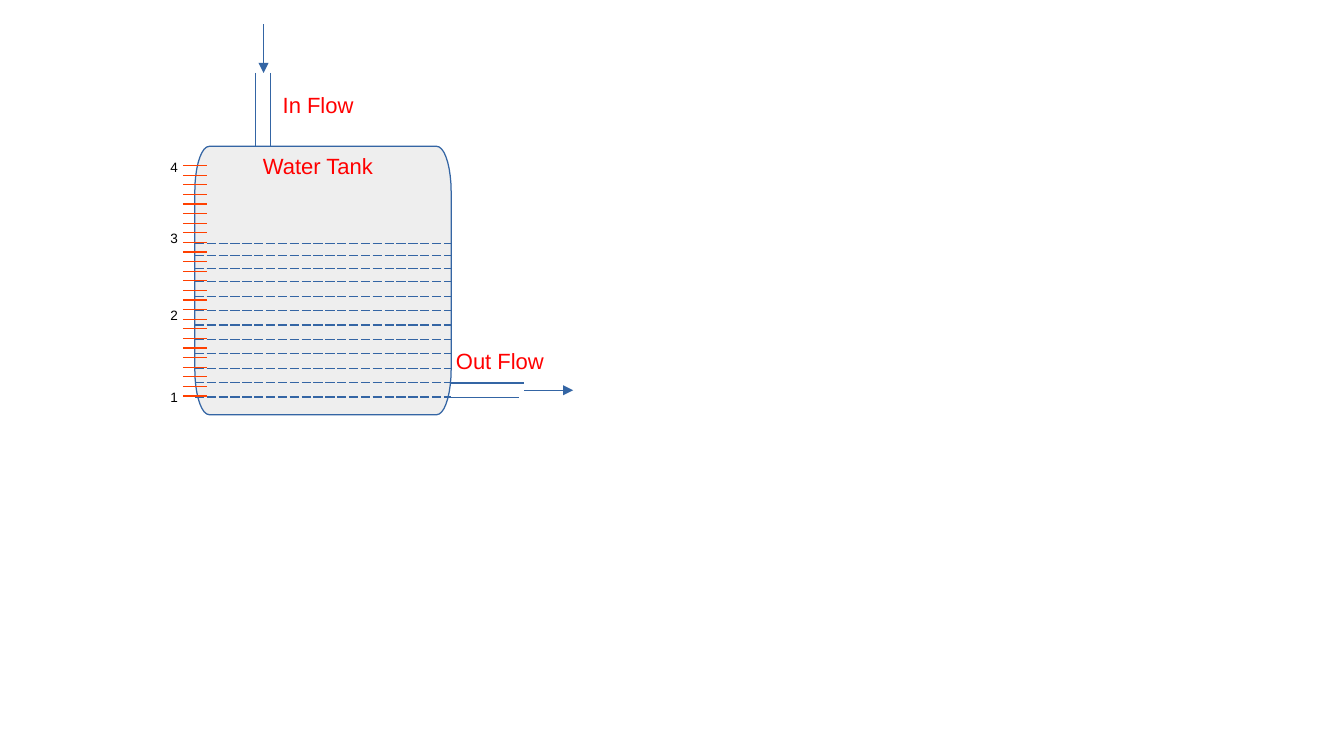
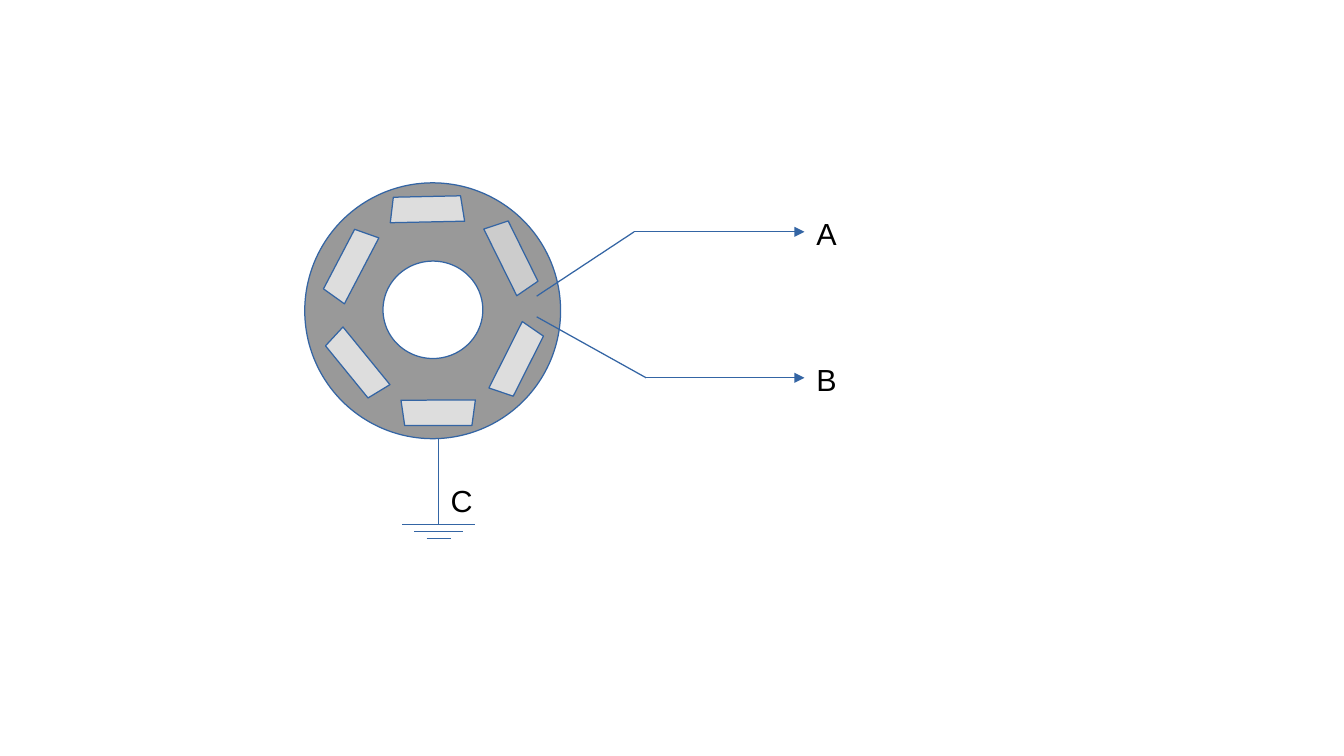
from math import cos, radians, sin

from lxml.etree import SubElement
from pptx import Presentation
from pptx.dml.color import RGBColor as Rgb
from pptx.enum.shapes import MSO_CONNECTOR as Link, MSO_SHAPE as Kind
from pptx.oxml.ns import qn
from pptx.util import Cm, Pt

BLUE = "3465A4"
ORANGE = "FF4000"
RED = "FF0000"
BLACK = "000000"
WHITE = "FFFFFF"
PALE = "EEEEEE"
GREY = "999999"
LIGHT = "DDDDDD"
MID = "CCCCCC"
FONT = "Arial"
WIDTH = 0.75


def tint(code):
    return Rgb.from_string(code)


def paint(shape, fill):
    shape.shadow.inherit = False
    shape.fill.solid()
    shape.fill.fore_color.rgb = tint(fill)
    shape.line.color.rgb = tint(BLUE)
    shape.line.width = Pt(WIDTH)


def draw(slide, kind, box, fill, turn=0):
    shape = slide.shapes.add_shape(kind, *map(Cm, box))
    paint(shape, fill)
    shape.rotation = turn
    return shape


def rule(slide, x1, y1, x2, y2, color=BLUE, dash=False, arrow=False):
    line = slide.shapes.add_connector(Link.STRAIGHT, *map(Cm, (x1, y1, x2, y2)))
    line.line.color.rgb = tint(color)
    line.line.width = Pt(WIDTH)
    props = line.line._get_or_add_ln()
    if dash:
        style = SubElement(props, qn("a:custDash"))
        SubElement(style, qn("a:ds"), d="750000", sp="200000")
    if arrow:
        SubElement(props, qn("a:tailEnd"), type="triangle")
    SubElement(line._element.spPr, qn("a:effectLst"))


def label(slide, text, box, size, color=BLACK):
    frame = slide.shapes.add_textbox(*map(Cm, box)).text_frame
    frame.word_wrap = False
    run = frame.paragraphs[0].add_run()
    run.text = text
    run.font.name = FONT
    run.font.size = Pt(size)
    run.font.color.rgb = tint(color)


def vessel(slide, left, top, wide, high, rx, ry):
    right, base = left + wide, top + high
    turns = [
        (right - rx, top + ry, 270),
        (right - rx, base - ry, 0),
        (left + rx, base - ry, 90),
        (left + rx, top + ry, 180),
    ]
    points = [
        (Cm(x + rx * cos(radians(start + step))), Cm(y + ry * sin(radians(start + step))))
        for x, y, start in turns
        for step in range(0, 91, 10)
    ]
    path = slide.shapes.build_freeform(*points[0])
    path.add_line_segments(points[1:], close=True)
    paint(path.convert_to_shape(), PALE)


def tank(slide):
    vessel(slide, 4.06, 3.05, 5.34, 5.59, 0.3, 0.94)
    for y in [5.08, 5.33, 5.59] + [5.87 + 0.3 * i for i in range(9)]:
        rule(slide, 4.06, y, 9.4, y, dash=True)
    for i in range(25):
        y = 3.45 + 0.2 * i
        rule(slide, 3.81, y, 4.32, y, ORANGE)
    for mark, y in zip("1234", (7.98, 6.27, 4.67, 3.18)):
        label(slide, mark, (3.3, y, 0.66, 0.56), 8)
    for x in (5.33, 5.64):
        rule(slide, x, 1.52, x, 3.05)
    for x, y in ((9.4, 7.98), (9.3, 8.28)):
        rule(slide, x, y, x + 1.52, y)
    rule(slide, 5.49, 0.51, 5.49, 1.52, arrow=True)
    rule(slide, 10.92, 8.13, 11.94, 8.13, arrow=True)
    for text, x, y, wide in (
        ("Water Tank", 5.23, 3.05, 2.79),
        ("Out Flow", 9.25, 7.11, 2.34),
        ("In Flow", 5.64, 1.78, 1.98),
    ):
        label(slide, text, (x, y, wide, 0.76), 13, RED)


def magnet(slide, x, y, turn, fill=LIGHT):
    wide, high = 1.55, 0.53
    box = (x - wide / 2, y - high / 2, wide, high)
    draw(slide, Kind.TRAPEZOID, box, fill, turn).adjustments[0] = 0.14


def rotor(slide):
    draw(slide, Kind.OVAL, (6.35, 3.81, 5.33, 5.33), GREY)
    for spot in (
        (8.9, 4.36, 358.8),
        (7.3, 5.52, 297.6),
        (9.13, 8.6, 179.8),
        (10.66, 5.35, 63.7, MID),
        (7.43, 7.58, 230.8),
        (10.77, 7.51, 116.7),
    ):
        magnet(slide, *spot)
    draw(slide, Kind.OVAL, (7.98, 5.44, 2.08, 2.03), WHITE)
    for text, start, bend, y in (("A", 6.17, 13.21, 4.83), ("B", 6.6, 13.46, 7.87)):
        rule(slide, 11.18, start, bend, y)
        rule(slide, bend, y, 16.76, y, arrow=True)
        label(slide, text, (16.76, y - 0.48, 0.91, 0.97), 18)
    mid = 9.14
    rule(slide, mid, 9.14, mid, 10.92)
    for i, half in enumerate((0.76, 0.51, 0.25)):
        y = 10.92 + 0.15 * i
        rule(slide, mid - half, y, mid + half, y)
    label(slide, "C", (mid, 9.91, 0.97, 0.97), 18)


def main():
    deck = Presentation()
    deck.slide_width, deck.slide_height = Cm(28), Cm(15.75)
    for build in (tank, rotor):
        build(deck.slides.add_slide(deck.slide_layouts[6]))
    deck.save("out.pptx")


if __name__ == "__main__":
    main()
